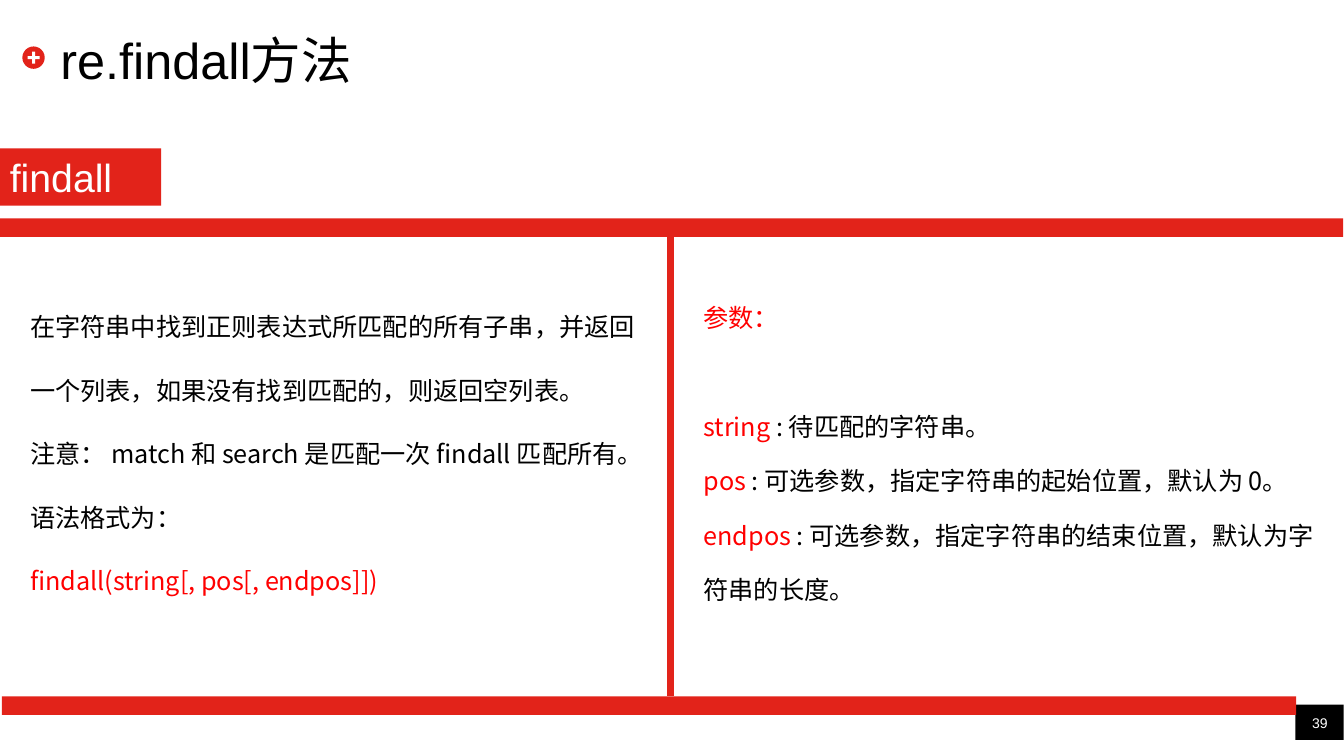
"""Build the slide that explains re.findall."""
from pptx import Presentation
from pptx.dml.color import RGBColor
from pptx.enum.shapes import MSO_CONNECTOR as LINE, MSO_SHAPE as SHAPE
from pptx.enum.text import MSO_ANCHOR as ANCHOR, PP_ALIGN as ALIGN
from pptx.oxml.ns import qn
from pptx.util import Pt

RED = RGBColor(0xE2, 0x23, 0x1A)
BRIGHT = RGBColor(0xFF, 0, 0)
BLACK = RGBColor(0, 0, 0)
WHITE = RGBColor(0xFF, 0xFF, 0xFF)
SANS, CJK = "Arial", "Noto Sans CJK SC"
WIDE, HIGH = 960, 540

TITLE = "re.findall方法"
LABEL = "findall"
PAGE = "39"
USAGE = [
    [("在字符串中找到正则表达式所匹配的所有子串，并返回一个列表，如果没有找到匹配的，则返回空列表。", BLACK)],
    [("注意： match 和 search 是匹配一次 findall 匹配所有。", BLACK)],
    [("语法格式为：", BLACK)],
    [("findall(string[, pos[, endpos]])", BRIGHT)],
]
HEAD = [("参数：", BRIGHT)]
PARAMS = [
    [("string ", BRIGHT), (": 待匹配的字符串。", BLACK)],
    [("pos", BRIGHT), (" : 可选参数，指定字符串的起始位置，默认为 0。", BLACK)],
    [("endpos", BRIGHT), (" : 可选参数，指定字符串的结束位置，默认为字符串的长度。", BLACK)],
]

BAR = 13.2
TOP, BASE = 156, 497.5
MID = 478.8
BARS = [(1.4, BASE, 924.5), (-0.5, TOP, WIDE)]
PANELS = [
    (14.4, 195, 448.6, USAGE, 45.4, 0),
    (495.4, 195, 450, [HEAD] + PARAMS, 38.9, 38.9),
]

deck = Presentation()
deck.slide_width, deck.slide_height = Pt(WIDE), Pt(HIGH)
slide = deck.slides.add_slide(deck.slide_layouts[6])
shapes = slide.shapes


def block(kind, x, y, w, h, fill):
    """Add a plain filled shape."""
    item = shapes.add_shape(kind, Pt(x), Pt(y), Pt(w), Pt(h))
    item.shadow.inherit = False
    item.fill.solid()
    item.fill.fore_color.rgb = fill
    item.line.fill.background()
    return item


def write(paras, x, y, w, h, size=18, font=CJK, anchor=ANCHOR.TOP,
          align=ALIGN.LEFT, inset=(0, 0), pitch=None, gap=0):
    """Add a text box of paragraphs made of coloured runs."""
    frame = shapes.add_textbox(Pt(x), Pt(y), Pt(w), Pt(h)).text_frame
    frame.word_wrap = True
    frame.vertical_anchor = anchor
    frame.margin_left = frame.margin_right = Pt(inset[0])
    frame.margin_top = frame.margin_bottom = Pt(inset[1])
    for i, runs in enumerate(paras):
        para = frame.add_paragraph() if i else frame.paragraphs[0]
        para.alignment = align
        if pitch:
            para.line_spacing = Pt(pitch)
        if gap and i == 1:
            para.space_before = Pt(gap)
        for text, color in runs:
            run = para.add_run()
            run.text = text
            run.font.size = Pt(size)
            run.font.name = font
            run.font.color.rgb = color
            east = run.font._element.makeelement(qn("a:ea"), {"typeface": CJK})
            run.font._element.append(east)


block(SHAPE.RECTANGLE, 925.2, 503.3, 34.6, 25.2, BLACK)
write([[(PAGE, WHITE)]], 925.2, 503.3, 35.3, 19.4, size=10, font=SANS,
      anchor=ANCHOR.BOTTOM, align=ALIGN.CENTER)

block(SHAPE.OVAL, 16, 33.2, 16, 16, RED)
plus = block(SHAPE.CROSS, 19.7, 36.9, 8.6, 8.6, WHITE)
plus.adjustments[0] = 0.37
write([[(TITLE, BLACK)]], 43.2, 21.6, 872, 41, size=36, font=SANS,
      anchor=ANCHOR.MIDDLE)

for x, y, w in BARS:
    block(SHAPE.RECTANGLE, x, y, w, BAR, RED)
rule = shapes.add_connector(LINE.STRAIGHT, Pt(MID), Pt(TOP + BAR), Pt(MID), Pt(BASE))
rule.line.color.rgb = RED
rule.line.width = Pt(5)
props = rule._element.spPr
props.append(props.makeelement(qn("a:effectLst"), {}))

block(SHAPE.RECTANGLE, 0, 106, 115.2, 41, RED)
write([[(LABEL, WHITE)]], 0, 106, 115.2, 41, size=28, font=SANS,
      inset=(7.2, 3.6))

for x, y, w, paras, pitch, gap in PANELS:
    write(paras, x, y, w, 240, inset=(7.2, 3.6), pitch=pitch, gap=gap)

deck.save("out.pptx")
